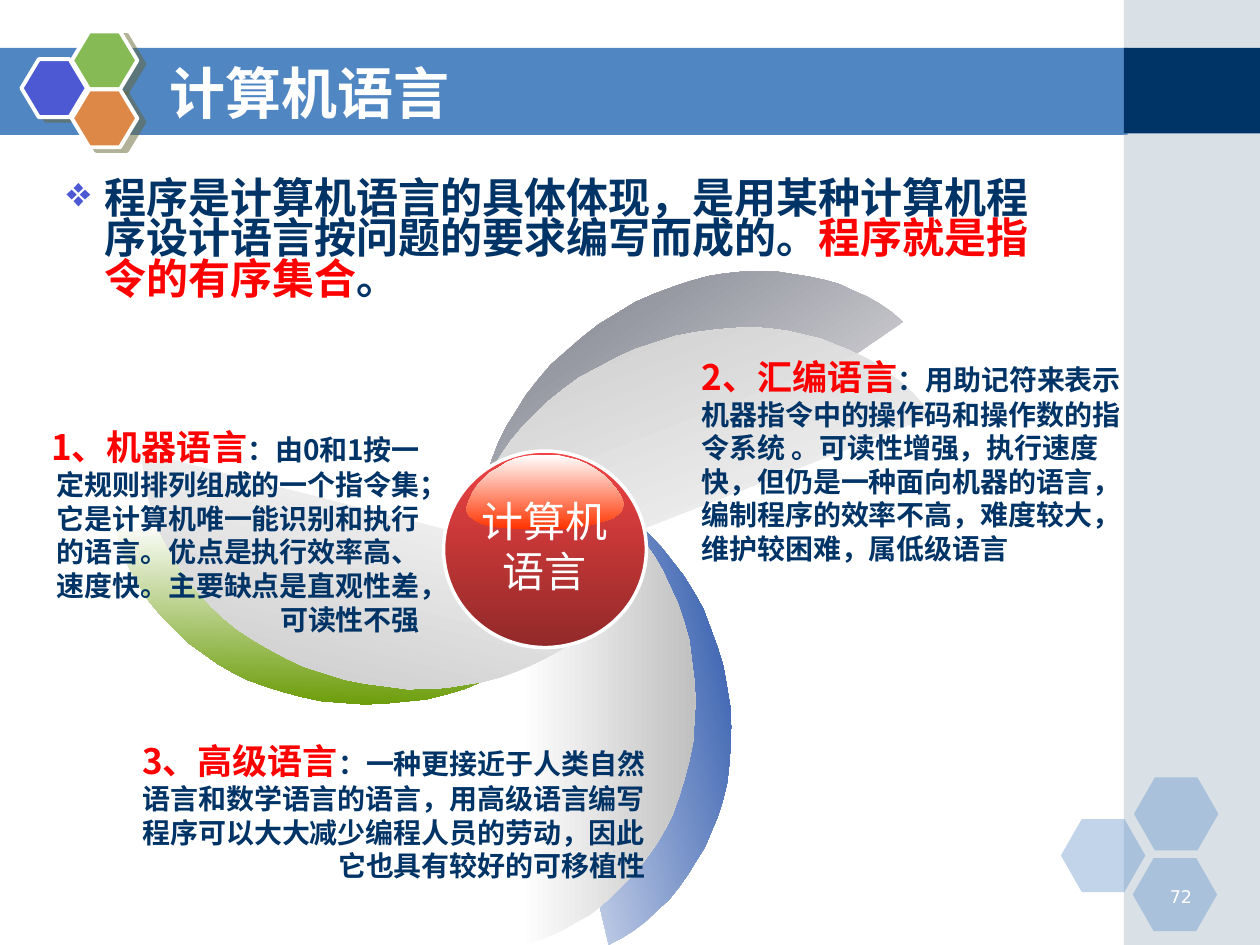
from dataclasses import dataclass
from typing import Any

from lxml.etree import SubElement
from pptx import Presentation
from pptx.dml.color import RGBColor
from pptx.enum.shapes import MSO_SHAPE as Shape
from pptx.enum.text import MSO_ANCHOR as Anchor, MSO_AUTO_SIZE as Fit, PP_ALIGN as Align
from pptx.oxml.ns import qn
from pptx.util import Inches, Pt

WHITE = RGBColor(0xFF, 0xFF, 0xFF)
NAVY = RGBColor(0x00, 0x33, 0x66)
SKY = RGBColor(0x50, 0x86, 0xC2)
MIST = RGBColor(0xA0, 0xB5, 0xC4)
INDIGO = RGBColor(0x4C, 0x59, 0xD2)
LEAF = RGBColor(0x85, 0xBA, 0x54)
ORANGE = RGBColor(0xDE, 0x88, 0x48)
RED = RGBColor(0xFF, 0x00, 0x00)
SILVER = RGBColor(0xC0, 0xC0, 0xC0)
BLUE = RGBColor(0x00, 0x33, 0x99)
GREEN = RGBColor(0x66, 0x99, 0x00)
SLATE = RGBColor(0x56, 0x58, 0x68)
CORAL = RGBColor(0xF1, 0x43, 0x43)
MAROON = RGBColor(0x92, 0x29, 0x29)
FLAME = RGBColor(0xFF, 0x33, 0x00)

BLADE_SIZE = (1.39, 3.88)
BLADE = [
    (0, 0), (0.11, 0.03), (0.21, 0.07), (0.32, 0.11), (0.42, 0.17), (0.52, 0.23),
    (0.62, 0.31), (0.72, 0.39), (0.81, 0.48), (0.9, 0.58), (0.98, 0.68), (1.06, 0.79),
    (1.13, 0.91), (1.19, 1.04), (1.25, 1.17), (1.3, 1.32), (1.34, 1.46), (1.36, 1.62),
    (1.38, 1.78), (1.39, 1.94), (1.38, 2.11), (1.37, 2.27), (1.34, 2.42), (1.3, 2.57),
    (1.26, 2.7), (1.21, 2.84), (1.15, 2.96), (1.08, 3.08), (1, 3.19), (0.92, 3.3),
    (0.83, 3.39), (0.74, 3.48), (0.65, 3.56), (0.55, 3.64), (0.44, 3.7), (0.34, 3.76),
    (0.23, 3.81), (0.12, 3.85), (0, 3.88),
]
GLOSS_SIZE = (1.25, 0.59)
GLOSS = [
    (1.23, 0.33), (1.25, 0.39), (1.23, 0.45), (1.17, 0.5), (1.08, 0.53), (0.97, 0.56),
    (0.85, 0.58), (0.75, 0.59), (0.45, 0.59), (0.33, 0.58), (0.22, 0.57), (0.13, 0.55),
    (0.07, 0.52), (0.02, 0.48), (0, 0.43), (0.02, 0.37), (0.05, 0.3), (0.09, 0.24),
    (0.14, 0.19), (0.19, 0.14), (0.26, 0.1), (0.32, 0.06), (0.39, 0.03), (0.47, 0.01),
    (0.55, 0), (0.63, 0), (0.72, 0), (0.8, 0.02), (0.88, 0.04), (0.95, 0.07),
    (1.02, 0.11), (1.09, 0.16), (1.14, 0.21), (1.19, 0.27),
]


@dataclass
class Painter:
    """Draws styled elements on the current slide."""

    page: Any
    font: str = "Noto Sans CJK SC"

    def paint(self, shape, colors, angle=0, opacity=100, outline=None):
        shape.shadow.inherit = False
        if len(colors) == 2:
            shape.fill.gradient()
            shape.fill.gradient_angle = angle
            for stop, color in zip(shape.fill.gradient_stops, colors):
                stop.color.rgb = color
        else:
            shape.fill.solid()
            shape.fill.fore_color.rgb = colors[0]
        if opacity < 100:
            color = next(shape._element.spPr.iter(qn("a:srgbClr")))
            SubElement(color, qn("a:alpha"), val=str(opacity * 1000))
        if outline:
            shape.line.color.rgb = WHITE
            shape.line.width = Pt(outline)
        else:
            shape.line.fill.background()
        return shape

    def preset(self, kind, place, *colors, **look):
        shape = self.page.shapes.add_shape(kind, *map(Inches, place))
        return self.paint(shape, colors, **look)

    def hexagon(self, place, color, adjust, **look):
        shape = self.preset(Shape.HEXAGON, place, color, **look)
        shape.adjustments[0] = adjust
        return shape

    def badge(self, place, color):
        shape = self.hexagon(place, color, 0.3, outline=2.25)
        effects = shape._element.spPr.find(qn("a:effectLst"))
        shadow = SubElement(effects, qn("a:outerShdw"), dist=str(Pt(4.5)),
                            dir=str(27 * 60000), algn="ctr", rotWithShape="0")
        tint = SubElement(shadow, qn("a:srgbClr"), val="666633")
        SubElement(tint, qn("a:alpha"), val="50000")

    def outline(self, points, size, place, *colors, angle=0, rotation=0):
        left, top, width, height = place
        spots = [(Inches(left + x * width / size[0]), Inches(top + y * height / size[1]))
                 for x, y in points]
        builder = self.page.shapes.build_freeform(*spots[0])
        builder.add_line_segments(spots[1:], close=True)
        shape = self.paint(builder.convert_to_shape(), colors, angle)
        shape.rotation = rotation

    def text(self, place, lines, size, color=WHITE, bold=False, align=Align.LEFT,
             anchor=Anchor.TOP, wrap=True, fit=Fit.NONE, font=None, bullet=None):
        box = self.page.shapes.add_textbox(*map(Inches, place))
        frame = box.text_frame
        frame.word_wrap = wrap
        frame.auto_size = fit
        frame.vertical_anchor = anchor
        for index, spans in enumerate(lines):
            para = frame.add_paragraph() if index else frame.paragraphs[0]
            para.alignment = align
            if bullet:
                self.bullet(para, bullet)
            para.font.name = font or self.font
            para.font.size = Pt(size)
            para.font.bold = bold
            para.font.color.rgb = color
            defaults = para._p.pPr.find(qn("a:defRPr"))
            SubElement(defaults, qn("a:ea"), typeface=font or self.font)
            for words, *change in spans:
                span = para.add_run()
                span.text = words
                if change:
                    span.font.color.rgb = change[0]
                if len(change) > 1:
                    span.font.size = Pt(change[1])

    def bullet(self, para, mark):
        para.line_spacing = 0.8
        props = para._p.get_or_add_pPr()
        props.set("marL", str(Inches(0.3)))
        props.set("indent", str(Inches(-0.3)))
        tint = SubElement(props, qn("a:buClr"))
        SubElement(tint, qn("a:srgbClr"), val=str(INDIGO))
        SubElement(props, qn("a:buChar"), char=mark)

    def note(self, place, heading, body, align):
        self.text(place, [[(heading, RED, 20), (body, NAVY, 16)]], 16, NAVY, bold=True,
                  align=align, fit=Fit.SHAPE_TO_FIT_TEXT)


def main():
    deck = Presentation()
    deck.slide_width, deck.slide_height = Inches(10), Inches(7.5)
    painter = Painter(deck.slides.add_slide(deck.slide_layouts[6]))

    painter.preset(Shape.RECTANGLE, (0, 0.38, 8.95, 0.69), SKY)
    painter.preset(Shape.RECTANGLE, (8.92, 0, 1.08, 7.5), MIST, opacity=40)
    painter.preset(Shape.RECTANGLE, (8.92, 0.38, 1.08, 0.68), NAVY)
    for left, top in ((8.42, 6.5), (9, 6.17), (8.99, 6.81)):
        painter.hexagon((left, top, 0.67, 0.58), SKY, 0.286, opacity=35)
    for left, top, color in ((0.17, 0.47, INDIGO), (0.57, 0.25, LEAF), (0.57, 0.71, ORANGE)):
        painter.badge((left, top, 0.52, 0.46), color)

    painter.text((9.06, 6.98, 0.5, 0.25), [[("72",)]], 10, align=Align.RIGHT,
                 font="DejaVu Sans")
    painter.text((1.25, 0.42, 7.33, 0.62), [[("计算机语言",)]], 32, bold=True,
                 anchor=Anchor.MIDDLE)
    painter.text((0.43, 1.39, 7.91, 1.18), [[
        ("程序是计算机语言的具体体现，是用某种计算机程序设计语言按问题的要求编写而成的。",),
        ("程序就是指令的有序集合", RED),
        ("。",),
    ]], 24, NAVY, bold=True, bullet="❖")

    blades = (
        ((4.37, 3.51, 1.39, 3.88), 346.8, BLUE),
        ((2.23, 2.92, 1.35, 3.99), 91, GREEN),
        ((4.46, 1.13, 1.35, 4), 235.5, SLATE),
        ((4.13, 3.62, 1.39, 3.88), 0, SILVER),
        ((2.23, 2.74, 1.35, 4), 104.3, SILVER),
        ((4.61, 1.4, 1.35, 4), 248.7, SILVER),
    )
    for place, rotation, color in blades:
        painter.outline(BLADE, BLADE_SIZE, place, WHITE, color, rotation=rotation)

    painter.preset(Shape.OVAL, (3.52, 3.58, 1.61, 1.56), CORAL, MAROON, angle=270, outline=2)
    painter.outline(GLOSS, GLOSS_SIZE, (3.7, 3.61, 1.25, 0.59), WHITE, FLAME, angle=270)
    painter.text((3.72, 3.88, 1.2, 0.9), [[("计算机",)], [("语言",)]], 24,
                 align=Align.CENTER, wrap=False, fit=Fit.SHAPE_TO_FIT_TEXT)

    painter.note((0.2, 3.33, 3.23, 1.77), "1、机器语言",
                 "：由0和1按一定规则排列组成的一个指令集；它是计算机唯一能识别和执行的语言。"
                 "优点是执行效率高、速度快。主要缺点是直观性差，可读性不强", Align.RIGHT)
    painter.note((5.47, 2.77, 3.54, 1.77), "2、汇编语言",
                 "：用助记符来表示机器指令中的操作码和操作数的指令系统 。可读性增强，执行速度快，"
                 "但仍是一种面向机器的语言，编制程序的效率不高，难度较大，维护较困难，属低级语言",
                 Align.LEFT)
    painter.note((0.98, 5.82, 4.24, 1.24), "3、高级语言",
                 "：一种更接近于人类自然语言和数学语言的语言，用高级语言编写程序可以大大减少"
                 "编程人员的劳动，因此它也具有较好的可移植性", Align.RIGHT)

    deck.save("out.pptx")


if __name__ == "__main__":
    main()
